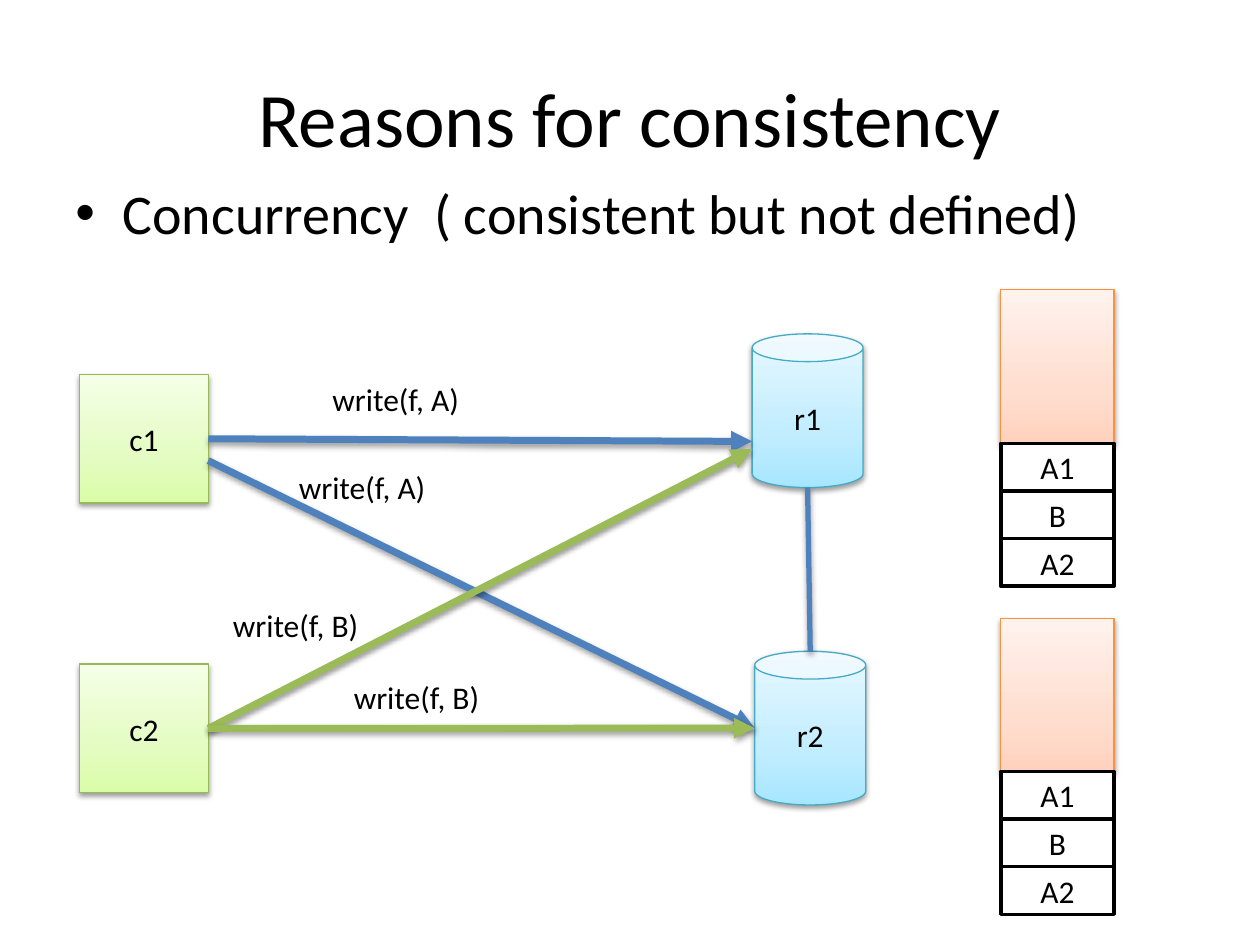
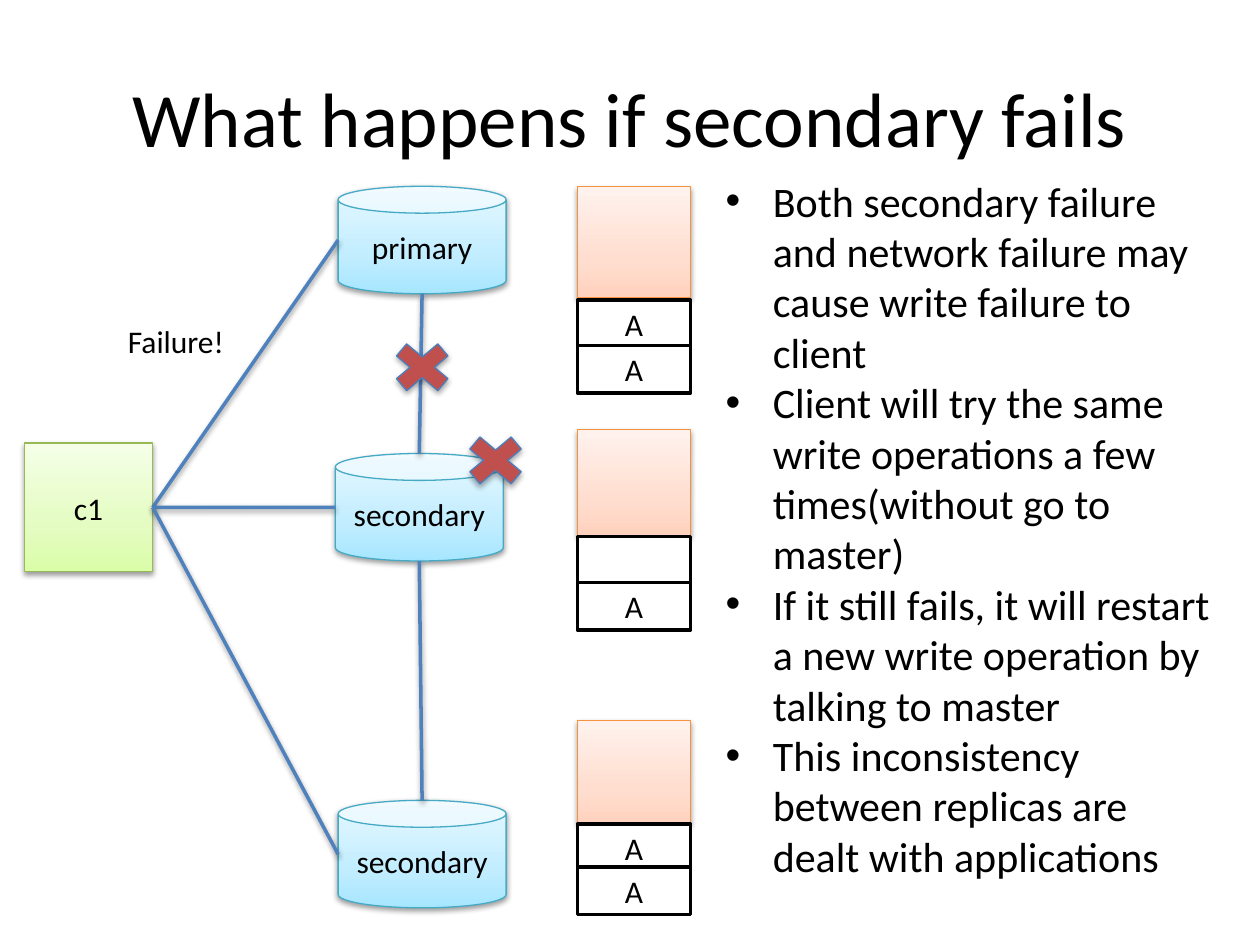
from lxml import etree
from pptx import Presentation
from pptx.dml.color import RGBColor
from pptx.enum.shapes import MSO_CONNECTOR, MSO_SHAPE
from pptx.enum.text import MSO_ANCHOR, PP_ALIGN
from pptx.oxml.ns import qn
from pptx.util import Pt

RECT, CAN, CROSS = MSO_SHAPE.RECTANGLE, MSO_SHAPE.CAN, MSO_SHAPE.MATH_MULTIPLY
LINE = MSO_CONNECTOR.STRAIGHT
MIDDLE, TOP = MSO_ANCHOR.MIDDLE, MSO_ANCHOR.TOP
CENTER, LEFT = PP_ALIGN.CENTER, PP_ALIGN.LEFT

FONT = "Calibri"
BLACK, WHITE, BLUE, GREEN = "000000", "FFFFFF", "4F81BD", "9BBB59"
RED, EDGE = "C0504D", "4B7EBC"
STOPS = (0, 35, 100)
# Each look: gradient colours from the bottom up, then the outline
CLIENT = (("DAFDA7", "E4FCC2", "F5FFE7"), "98B955")
STORE = (("A7E6FF", "C1EDFF", "E7F8FF"), "46AAC5")
CHUNK = (("FFD2BD", "FFDED0", "FFF2ED"), "F69240")

TITLE = (36, 21.6, 648, 90)
SIDE, WIDE, CELL = 73.5, 64.8, 27.2   # client side, stack width, cell height
MID, LOW, HIGH, WEST = (1, .5), (.5, 1), (.5, 0), (0, .5)

# Nodes: name -> (shape, look, label, box)
# Links: (from, spot, to, spot, colour, width, arrow); spots are box fractions
# Stacks: (left, top, chunk height, first cell top, cell step, cell labels)
SLIDES = [
    {
        "title": "Reasons for consistency",
        "points": (["Concurrency  ( consistent but not defined)"], 32,
                   (36, 98.6, 648, 356.4)),
        "nodes": {
            "c1": (RECT, CLIENT, "c1", (45.5, 214, SIDE, SIDE)),
            "c2": (RECT, CLIENT, "c2", (45.5, 379.5, SIDE, SIDE)),
            "r1": (CAN, STORE, "r1", (429.8, 190.8, 63.4, 87.8)),
            "r2": (CAN, STORE, "r2", (431.3, 372.2, 63.4, 87.8)),
        },
        "links": [
            ("c1", MID, "r1", (0, .7), BLUE, 4, True),
            ("c1", (1, .67), "r2", WEST, BLUE, 4, True),
            ("c2", MID, "r1", (0, .75), GREEN, 4, True),
            ("c2", MID, "r2", WEST, GREEN, 4, True),
            ("r1", LOW, "r2", HIGH, BLUE, 3, False),
        ],
        "notes": [
            ("write(f, A)", (182.9, 213.8, 113, 29)),
            ("write(f, A)", (163.7, 264, 113, 29)),
            ("write(f, B)", (126, 342.5, 113, 29)),
            ("write(f, B)", (195.1, 383.8, 113, 29)),
        ],
        "stacks": [
            (571.9, 165.6, 87.8, 253.4, 27.2, ("A1", "B", "A2")),
            (571.9, 353.4, 87.8, 440.9, 27.2, ("A1", "B", "A2")),
        ],
        "faults": [],
    },
    {
        "title": "What happens if secondary fails",
        "points": ([
            "Both secondary failure and network failure may cause write "
            "failure to client",
            "Client will try the same write operations a few "
            "times(without go to master)",
            "If it still fails, it will restart a new write operation by "
            "talking to master",
            "This inconsistency between replicas are dealt with applications",
        ], 24, (407.5, 96.5, 298.8, 414.7)),
        "nodes": {
            "main": (CAN, STORE, "primary", (193.2, 106.5, 96, 61.4)),
            "sec1": (CAN, STORE, "secondary", (191.6, 259.2, 96, 61.4)),
            "sec2": (CAN, STORE, "secondary", (193.2, 457.4, 96, 61.4)),
            "c1": (RECT, CLIENT, "c1", (13.8, 253.2, SIDE, SIDE)),
        },
        "links": [("c1", MID, name, WEST, BLUE, 2, False)
                  for name in ("main", "sec1", "sec2")] + [
            ("main", LOW, "sec1", HIGH, BLUE, 2, False),
            ("sec1", LOW, "sec2", HIGH, BLUE, 2, False),
        ],
        "notes": [("Failure!", (66, 180.7, 78, 29))],
        "stacks": [
            (329.9, 106.6, 63.4, 171.4, 26, ("A", "A")),
            (329.9, 245.5, 60.5, 306.5, 26.4, ("", "A")),
            (329.9, 411.8, 59, 470.9, 24.5, ("A", "A")),
        ],
        # On the corner of the failed replica, and on the broken link
        "faults": [(260.5, 244, 45.4, 38.2), (218.6, 190.8, 45.4, 38.2)],
    },
]


def color(code):
    return RGBColor.from_string(code)


def sub(parent, tag, **attrs):
    node = etree.SubElement(parent, qn(tag))
    for key, value in attrs.items():
        node.set(key, str(value))
    return node


def shade(shape, alpha=38, dist=20000):
    """Add a soft shadow straight below a shape or line."""
    effect = sub(shape._element.spPr, "a:effectLst")
    cast = sub(effect, "a:outerShdw", blurRad=40000, dist=dist,
               dir=5400000, rotWithShape=0)
    tint = sub(cast, "a:srgbClr", val=BLACK)
    sub(tint, "a:alpha", val=alpha * 1000)


def write(frame, lines, size, align=LEFT, anchor=TOP, bullet=False):
    frame.word_wrap = True
    frame.vertical_anchor = anchor
    for i, line in enumerate(lines):
        para = frame.add_paragraph() if i else frame.paragraphs[0]
        para.text = line
        para.alignment = align
        para.font.name, para.font.size = FONT, Pt(size)
        para.font.color.rgb = color(BLACK)
        if bullet:
            props = para._p.get_or_add_pPr()
            props.set("marL", str(Pt(27)))
            props.set("indent", str(-Pt(27)))
            mark = etree.Element(qn("a:buFont"), typeface="Arial")
            char = etree.Element(qn("a:buChar"), char="•")
            props.insert(0, mark)
            mark.addnext(char)


def add_text(slide, lines, size, box, **style):
    frame = slide.shapes.add_textbox(*map(Pt, box)).text_frame
    write(frame, lines, size, **style)


def add_shape(slide, kind, box, fill, edge, width=.75, text=""):
    """Fill is one colour, or a tuple of colours for a gradient."""
    shape = slide.shapes.add_shape(kind, *map(Pt, box))
    if isinstance(fill, tuple):
        shape.fill.gradient()
        shape.fill.gradient_angle = 90
        stops = shape._element.spPr.find(".//" + qn("a:gsLst"))
        for old in list(stops):
            stops.remove(old)
        for pos, code in zip(STOPS, fill):
            sub(sub(stops, "a:gs", pos=pos * 1000), "a:srgbClr", val=code)
    else:
        shape.fill.solid()
        shape.fill.fore_color.rgb = color(fill)
    shape.line.color.rgb = color(edge)
    shape.line.width = Pt(width)
    if text:
        write(shape.text_frame, [text], 18, CENTER, MIDDLE)
    return shape


def add_link(slide, start, end, code, width, arrow):
    link = slide.shapes.add_connector(LINE, *map(Pt, start + end))
    link.line.color.rgb = color(code)
    link.line.width = Pt(width)
    if arrow:
        sub(link.line._ln, "a:tailEnd", type="triangle")
    shade(link)


def add_stack(slide, left, top, height, first, step, cells):
    shade(add_shape(slide, RECT, (left, top, WIDE, height), *CHUNK))
    for i, text in enumerate(cells):
        box = (left, first + i * step, WIDE, CELL)
        cell = add_shape(slide, RECT, box, WHITE, BLACK, 2, text)
        cell.shadow.inherit = False


def spot(box, part):
    left, top, width, height = box
    return left + part[0] * width, top + part[1] * height


def build(slide, data):
    add_text(slide, [data["title"]], 44, TITLE, align=CENTER, anchor=MIDDLE)
    lines, size, box = data["points"]
    add_text(slide, lines, size, box, bullet=True)
    # Clients and replicas
    nodes = data["nodes"]
    for kind, look, text, box in nodes.values():
        shade(add_shape(slide, kind, box, *look, text=text))
    # Lines between them
    for start, out, end, into, code, width, arrow in data["links"]:
        add_link(slide, spot(nodes[start][3], out), spot(nodes[end][3], into),
                 code, width, arrow)
    for text, box in data["notes"]:
        add_text(slide, [text], 18, box)
    # File contents and failure marks
    for stack in data["stacks"]:
        add_stack(slide, *stack)
    for box in data["faults"]:
        shade(add_shape(slide, CROSS, box, RED, EDGE), 35, 23000)


def main():
    deck = Presentation()
    deck.slide_width, deck.slide_height = Pt(720), Pt(540)
    for data in SLIDES:
        build(deck.slides.add_slide(deck.slide_layouts[6]), data)
    deck.save("out.pptx")


if __name__ == "__main__":
    main()
